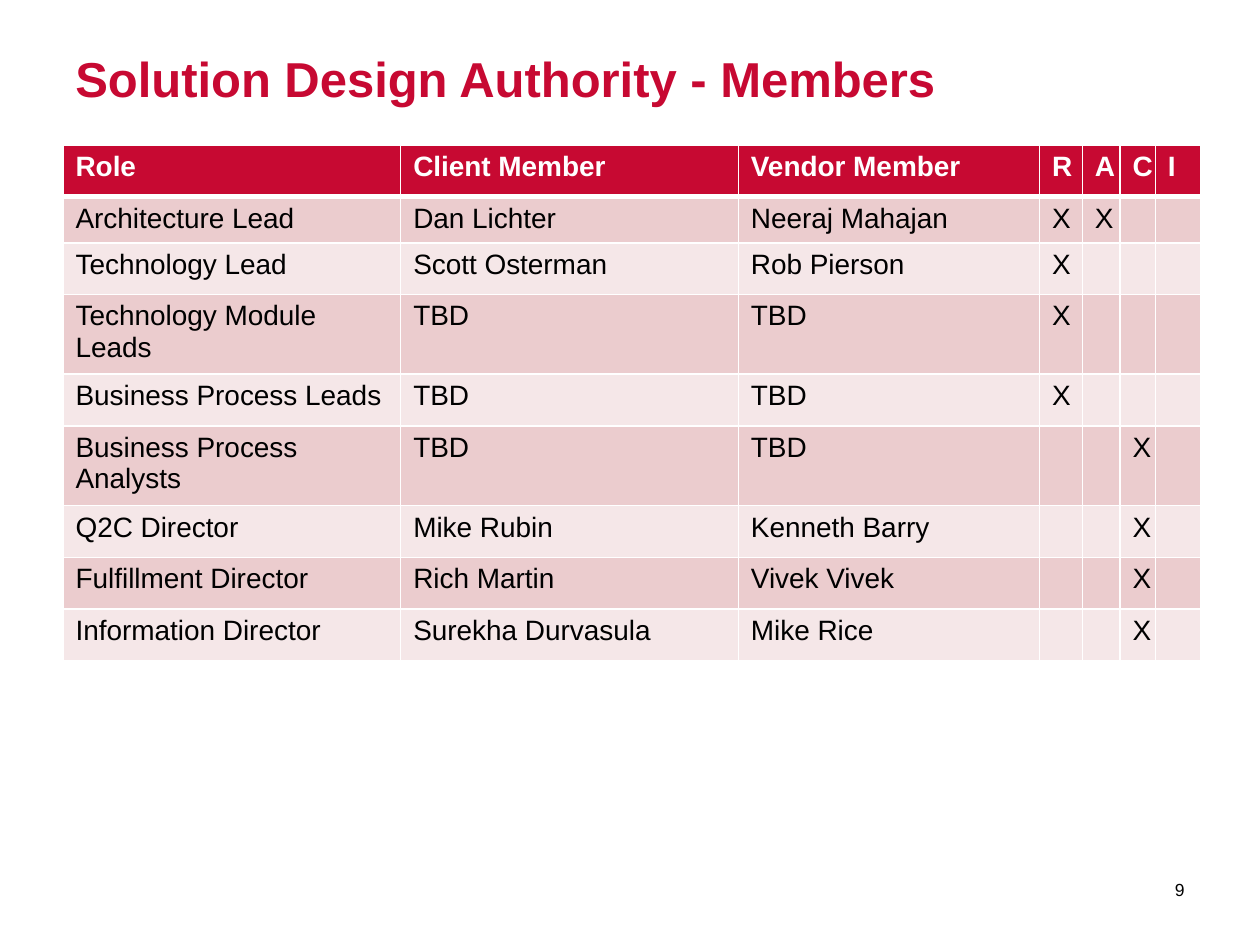
from lxml.etree import SubElement
from pptx import Presentation
from pptx.dml.color import RGBColor
from pptx.enum.text import MSO_ANCHOR, PP_ALIGN
from pptx.oxml.ns import qn
from pptx.util import Inches, Pt

CRIMSON = RGBColor(0xC7, 0x09, 0x32)
ROSE = RGBColor(0xEB, 0xCC, 0xCE)
BLUSH = RGBColor(0xF5, 0xE7, 0xE8)
WHITE = RGBColor(0xFF, 0xFF, 0xFF)
BLACK = RGBColor(0, 0, 0)

FONT = "Arial"
TABLE_SIZE = 16
COLUMN_WIDTHS = [2.68, 2.68, 2.39, 0.34, 0.3, 0.28, 0.36]
ROW_HEIGHT = 0.41
FIRST_MEMBER_HEIGHT = 0.35
RACI = "RACI"
HEADINGS = ["Role", "Client Member", "Vendor Member", *RACI]
MEMBERS = [
    ("Architecture Lead", "Dan Lichter", "Neeraj Mahajan", "RA"),
    ("Technology Lead", "Scott Osterman", "Rob Pierson", "R"),
    ("Technology Module Leads", "TBD", "TBD", "R"),
    ("Business Process Leads", "TBD", "TBD", "R"),
    ("Business Process Analysts", "TBD", "TBD", "C"),
    ("Q2C Director", "Mike Rubin", "Kenneth Barry", "C"),
    ("Fulfillment Director", "Rich Martin", "Vivek Vivek", "C"),
    ("Information Director", "Surekha Durvasula", "Mike Rice", "C"),
]


def style_runs(paragraph, size, color, bold=False):
    for run in paragraph.runs:
        run.font.name = FONT
        run.font.size = Pt(size)
        run.font.bold = bold
        run.font.color.rgb = color


def add_text(slide, text, box, size, color, bold=False, align=PP_ALIGN.LEFT):
    frame = slide.shapes.add_textbox(*map(Inches, box)).text_frame
    frame.word_wrap = True
    frame.vertical_anchor = MSO_ANCHOR.MIDDLE
    frame.text = text
    paragraph = frame.paragraphs[0]
    paragraph.alignment = align
    style_runs(paragraph, size, color, bold)


def add_borders(cell, top, bottom):
    properties = cell._tc.get_or_add_tcPr()
    for side, width in (("L", 1), ("R", 1), ("T", top), ("B", bottom)):
        line = SubElement(properties, qn(f"a:ln{side}"), w=str(Pt(width)))
        fill = SubElement(line, qn("a:solidFill"))
        SubElement(fill, qn("a:srgbClr"), val=str(WHITE))


def fill_cell(cell, text, row_index):
    is_heading = row_index == 0
    add_borders(cell, 3 if row_index == 1 else 1, 3 if is_heading else 1)
    cell.fill.solid()
    cell.fill.fore_color.rgb = CRIMSON if is_heading else (BLUSH, ROSE)[row_index % 2]
    cell.text = text
    paragraph = cell.text_frame.paragraphs[0]
    style_runs(paragraph, TABLE_SIZE, WHITE if is_heading else BLACK, is_heading)
    if not text:
        paragraph._p.get_or_add_endParaRPr().set("sz", str(TABLE_SIZE * 100))


def add_member_table(slide):
    rows = [HEADINGS]
    for *names, duties in MEMBERS:
        rows.append(names + ["X" if letter in duties else "" for letter in RACI])
    table = slide.shapes.add_table(
        len(rows), len(HEADINGS), Inches(0.5), Inches(1.15),
        Inches(sum(COLUMN_WIDTHS)), Inches(ROW_HEIGHT * len(rows)),
    ).table
    for column, width in zip(table.columns, COLUMN_WIDTHS):
        column.width = Inches(width)
    for row_index, texts in enumerate(rows):
        height = FIRST_MEMBER_HEIGHT if row_index == 1 else ROW_HEIGHT
        table.rows[row_index].height = Inches(height)
        for column_index, text in enumerate(texts):
            fill_cell(table.cell(row_index, column_index), text, row_index)


def main():
    presentation = Presentation()
    presentation.slide_width = Inches(10)
    presentation.slide_height = Inches(7.5)
    slide = presentation.slides.add_slide(presentation.slide_layouts[6])
    add_text(slide, "Solution Design Authority - Members", (0.5, 0.3, 9, 0.64),
             28, CRIMSON, bold=True)
    add_member_table(slide)
    add_text(slide, "9", (8.8, 6.86, 0.7, 0.4), 10, BLACK, align=PP_ALIGN.RIGHT)
    presentation.save("out.pptx")


if __name__ == "__main__":
    main()
